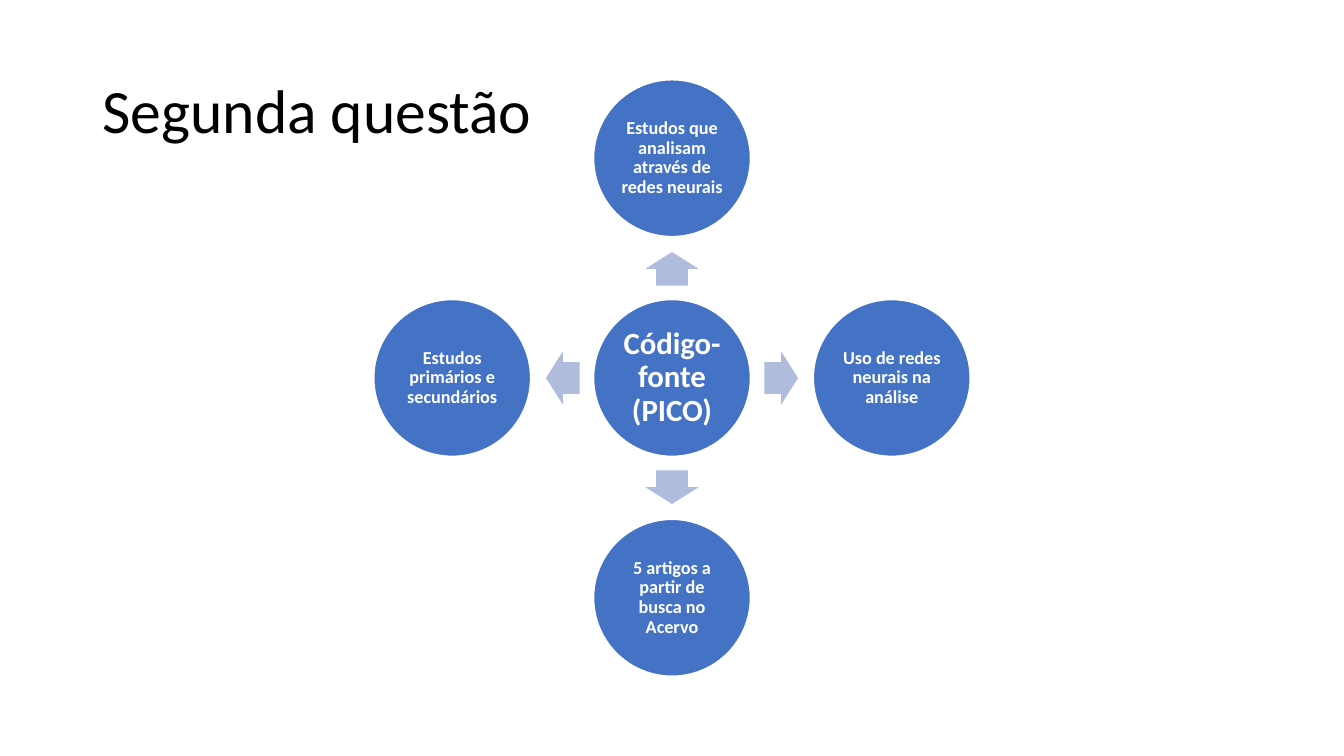
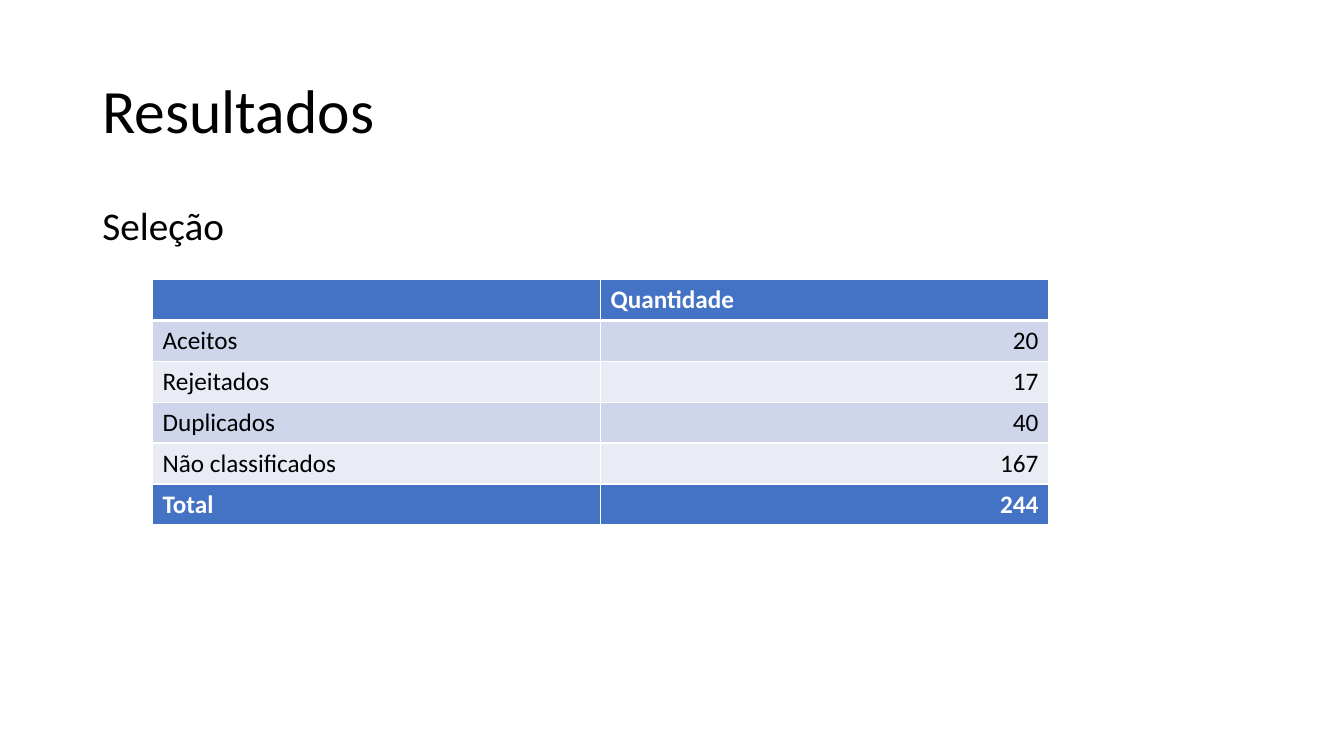
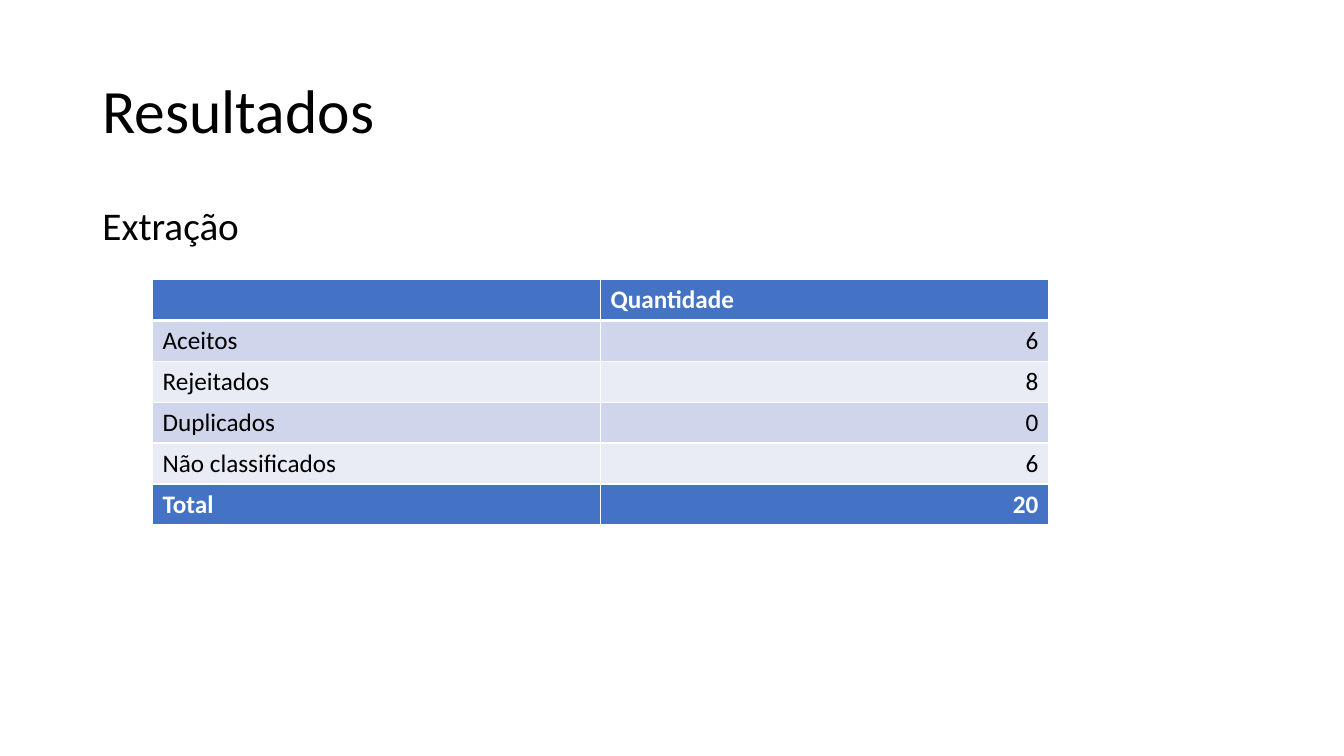
from lxml import etree
from pptx import Presentation
from pptx import util as u
from pptx.dml.color import RGBColor
from pptx.enum import shapes, text
from pptx.oxml import ns

Pt = u.Pt
KIND = shapes.MSO_SHAPE
ALIGN = text.PP_ALIGN
ANCHOR = text.MSO_ANCHOR

# Shared look
FONT = "Calibri"
BLACK = RGBColor(0x00, 0x00, 0x00)
WHITE = RGBColor(0xFF, 0xFF, 0xFF)
BLUE = RGBColor(0x44, 0x72, 0xC4)
PALE = RGBColor(0xB0, 0xBC, 0xDE)
BAND = RGBColor(0xCF, 0xD5, 0xEA)
LIGHT = RGBColor(0xE9, 0xEB, 0xF5)
LEFT, WIDTH = 66, 828

# Wheel: centre, circle size, and reach of circles and arrows
MID_X, MID_Y = 480, 270
DISC = 112
STEP = 157
GAP = 78
ARROW_W, ARROW_H = 24, 38


def write(frame, words, size=18, color=BLACK, bold=False, align=ALIGN.LEFT,
          anchor=ANCHOR.TOP, line=None, before=None, inset=None):
    """Put one formatted paragraph in a text frame."""
    frame.text = words
    frame.word_wrap = True
    frame.vertical_anchor = anchor
    if inset is not None:
        frame.margin_left = frame.margin_right = Pt(inset)
        frame.margin_top = frame.margin_bottom = Pt(inset)
    para = frame.paragraphs[0]
    para.alignment = align
    if line is not None:
        para.line_spacing = line
    if before is not None:
        para.space_before = Pt(before)
    for run in para.runs:
        font = run.font
        font.name, font.size, font.bold = FONT, Pt(size), bold
        font.color.rgb = color
    return para


def place(shape, x, y, w, h):
    shape.left, shape.top = Pt(x), Pt(y)
    shape.width, shape.height = Pt(w), Pt(h)


def start(deck, layout, title):
    """Add a slide with the common title."""
    slide = deck.slides.add_slide(deck.slide_layouts[layout])
    head = slide.shapes.title
    place(head, LEFT, 28.75, WIDTH, 104.4)
    write(head.text_frame, title, size=44, anchor=ANCHOR.MIDDLE, line=0.9)
    return slide


def lead(slide, words):
    """Fill the body placeholder with a line that has no bullet."""
    body = slide.placeholders[1]
    place(body, LEFT, 143.75, WIDTH, 342.6)
    para = write(body.text_frame, words, size=28, line=0.9, before=10)
    props = para._p.get_or_add_pPr()
    props.set("marL", "0")
    props.set("indent", "0")
    etree.SubElement(props, ns.qn("a:buNone"))


def shape_at(slide, kind, x, y, w, h, fill):
    """Add a flat shape centred on x, y."""
    shape = slide.shapes.add_shape(
        kind, Pt(x - w / 2), Pt(y - h / 2), Pt(w), Pt(h))
    shape.shadow.inherit = False
    shape.fill.solid()
    shape.fill.fore_color.rgb = fill
    shape.line.fill.background()
    return shape


def disc(slide, x, y, words, size=13, inset=1.3):
    shape = shape_at(slide, KIND.OVAL, x, y, DISC, DISC, BLUE)
    shape.line.color.rgb = WHITE
    shape.line.width = Pt(1)
    write(shape.text_frame, words, size=size, color=WHITE, bold=True,
          align=ALIGN.CENTER, anchor=ANCHOR.MIDDLE, line=0.9, inset=inset)


def arrow(slide, x, y, turn):
    shape = shape_at(slide, KIND.RIGHT_ARROW, x, y, ARROW_W, ARROW_H, PALE)
    shape.adjustments[0] = 0.6
    shape.adjustments[1] = 0.5
    shape.rotation = turn


def wheel(slide, hub, spokes):
    """Draw a hub with an arrow and a circle on each side."""
    disc(slide, MID_X, MID_Y, hub, size=22, inset=2.2)
    for dx, dy, turn, words in spokes:
        arrow(slide, MID_X + dx * GAP, MID_Y + dy * GAP, turn)
        disc(slide, MID_X + dx * STEP, MID_Y + dy * STEP, words)


def edge(cell, **widths):
    """Draw white cell borders; the sides are L, R, T and B."""
    props = cell._tc.get_or_add_tcPr()
    for spot, side in enumerate("LRTB"):
        line = etree.Element(ns.qn("a:ln" + side),
                             w=str(int(Pt(widths.get(side, 1)))))
        fill = etree.SubElement(line, ns.qn("a:solidFill"))
        etree.SubElement(fill, ns.qn("a:srgbClr"), val=str(WHITE))
        props.insert(spot, line)


def grid(slide, counts):
    """Add the table of counts with a header and a total."""
    names = ["Aceitos", "Rejeitados", "Duplicados", "Não classificados"]
    rows = [("", "Quantidade"), *zip(names, counts), ("Total", sum(counts))]
    high = 29.2
    table = slide.shapes.add_table(
        len(rows), 2, Pt(109), Pt(199.7), Pt(640), Pt(high * len(rows))).table
    for r, row in enumerate(rows):
        table.rows[r].height = Pt(high)
        strong = r in (0, len(rows) - 1)
        fill = BLUE if strong else (BAND if r % 2 else LIGHT)
        for c, value in enumerate(row):
            cell = table.cell(r, c)
            cell.fill.solid()
            cell.fill.fore_color.rgb = fill
            edge(cell, T=3 if r == 1 else 1, B=3 if r == 0 else 1)
            write(cell.text_frame, str(value), bold=strong,
                  color=WHITE if strong else BLACK,
                  align=ALIGN.RIGHT if r and c else ALIGN.LEFT)


def main():
    deck = Presentation()
    deck.slide_width, deck.slide_height = Pt(960), Pt(540)

    # Second question
    slide = start(deck, 5, "Segunda questão")
    wheel(slide, "Código-fonte (PICO)", [
        (0, -1, 270, "Estudos que analisam através de redes neurais"),
        (1, 0, 0, "Uso de redes neurais na análise"),
        (0, 1, 90, "5 artigos a partir de busca no Acervo"),
        (-1, 0, 180, "Estudos primários e secundários"),
    ])

    # Results by stage
    for stage, counts in [("Seleção", [20, 17, 40, 167]),
                          ("Extração", [6, 8, 0, 6])]:
        slide = start(deck, 1, "Resultados")
        lead(slide, stage)
        grid(slide, counts)

    deck.save("out.pptx")


if __name__ == "__main__":
    main()
